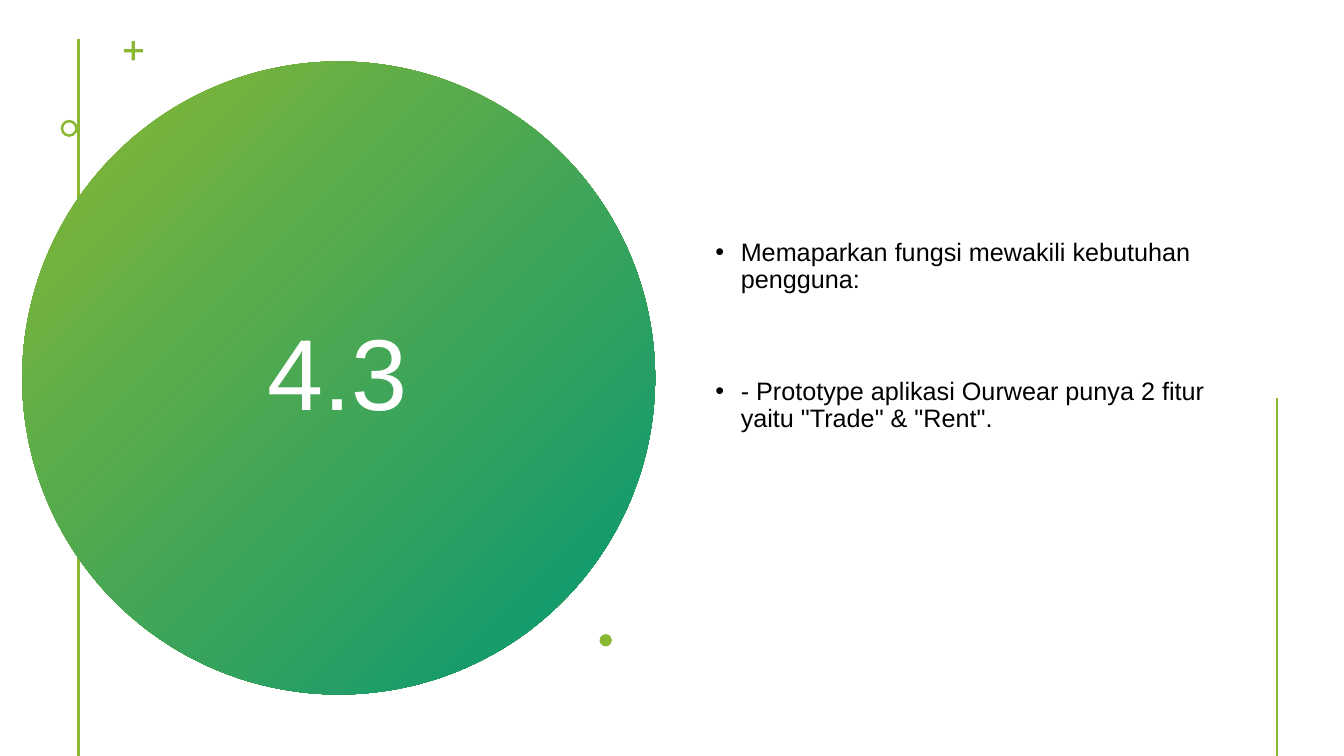
"""Builds a section slide with a large numbered circle and a short bullet list."""
import pptx
import pptx.dml.color
import pptx.enum.shapes
import pptx.enum.text
import pptx.oxml.ns
import pptx.util
from lxml import etree

Cm, Pt = pptx.util.Cm, pptx.util.Pt
Form = pptx.enum.shapes.MSO_SHAPE
Align = pptx.enum.text.PP_ALIGN

LIME, TEAL, WHITE, BLACK = "8AB833", "029676", "FFFFFF", "000000"
SIZE = (33.87, 19.05)
TITLE = "4.3"
POINTS = [
    "Memaparkan fungsi mewakili kebutuhan pengguna:",
    '- Prototype aplikasi Ourwear punya 2 fitur yaitu "Trade" & "Rent".',
]
DISC = (0.56, 1.55, 15.95)
HEAD = (3.45, 3.58, 10.13, 11.86)
BODY = (17.78, 1.07, 13, 16.59)
RULES = {"left": (1.98, 0.98), "right": (32.18, 10.03)}
MARKS = [
    (Form.CROSS, 3.12, 1.04, 0.48, 0.42),
    (Form.DONUT, 1.53, 3.02, 0.43, 0.15),
    (Form.OVAL, 15.11, 15.98, 0.31, None),
]


def color(hex):
    return pptx.dml.color.RGBColor.from_string(hex)


def add_rule(slide, x, top):
    line = slide.shapes.add_connector(
        pptx.enum.shapes.MSO_CONNECTOR.STRAIGHT, Cm(x), Cm(top), Cm(x), Cm(SIZE[1])
    )
    line.line.color.rgb = color(LIME)
    line.line.width = Pt(2)
    etree.SubElement(line._element.spPr, pptx.oxml.ns.qn("a:effectLst"))


def add_mark(slide, form, x, y, side, adjust=None):
    mark = slide.shapes.add_shape(form, Cm(x), Cm(y), Cm(side), Cm(side))
    mark.shadow.inherit = False
    mark.line.fill.background()
    mark.fill.solid()
    mark.fill.fore_color.rgb = color(LIME)
    if adjust is not None:
        mark.adjustments[0] = adjust
    return mark


def add_text(slide, place, texts, size, ink, align, gap=0):
    frame = slide.shapes.add_textbox(*map(Cm, place)).text_frame
    frame.word_wrap = True
    frame.vertical_anchor = pptx.enum.text.MSO_ANCHOR.MIDDLE
    for i, text in enumerate(texts):
        para = frame.paragraphs[0] if i == 0 else frame.add_paragraph()
        para.text = text
        para.alignment = align
        para.line_spacing = 0.9
        if i:
            para.space_before = Pt(gap)
        if align == Align.LEFT:
            props = para._p.get_or_add_pPr()
            props.set("marL", str(Cm(0.64)))
            props.set("indent", str(Cm(-0.64)))
            etree.SubElement(props, pptx.oxml.ns.qn("a:buFont"), typeface="Arial")
            etree.SubElement(props, pptx.oxml.ns.qn("a:buChar"), char="•")
        para.font.name = "Arial"
        para.font.size = Pt(size)
        para.font.color.rgb = color(ink)
    return frame


def main():
    deck = pptx.Presentation()
    deck.slide_width, deck.slide_height = map(Cm, SIZE)
    slide = deck.slides.add_slide(deck.slide_layouts[6])

    add_rule(slide, *RULES["left"])
    disc = add_mark(slide, Form.OVAL, *DISC)
    disc.fill.gradient()
    disc.fill.gradient_angle = 315
    for stop, hue in zip(disc.fill.gradient_stops, (LIME, TEAL)):
        stop.color.rgb = color(hue)

    add_text(slide, HEAD, [TITLE], 72, WHITE, Align.CENTER)
    body = add_text(slide, BODY, POINTS, 18, BLACK, Align.LEFT, gap=60)
    body.margin_bottom = Cm(1.9)
    for mark in MARKS:
        add_mark(slide, *mark)
    add_rule(slide, *RULES["right"])
    deck.save("out.pptx")


if __name__ == "__main__":
    main()
